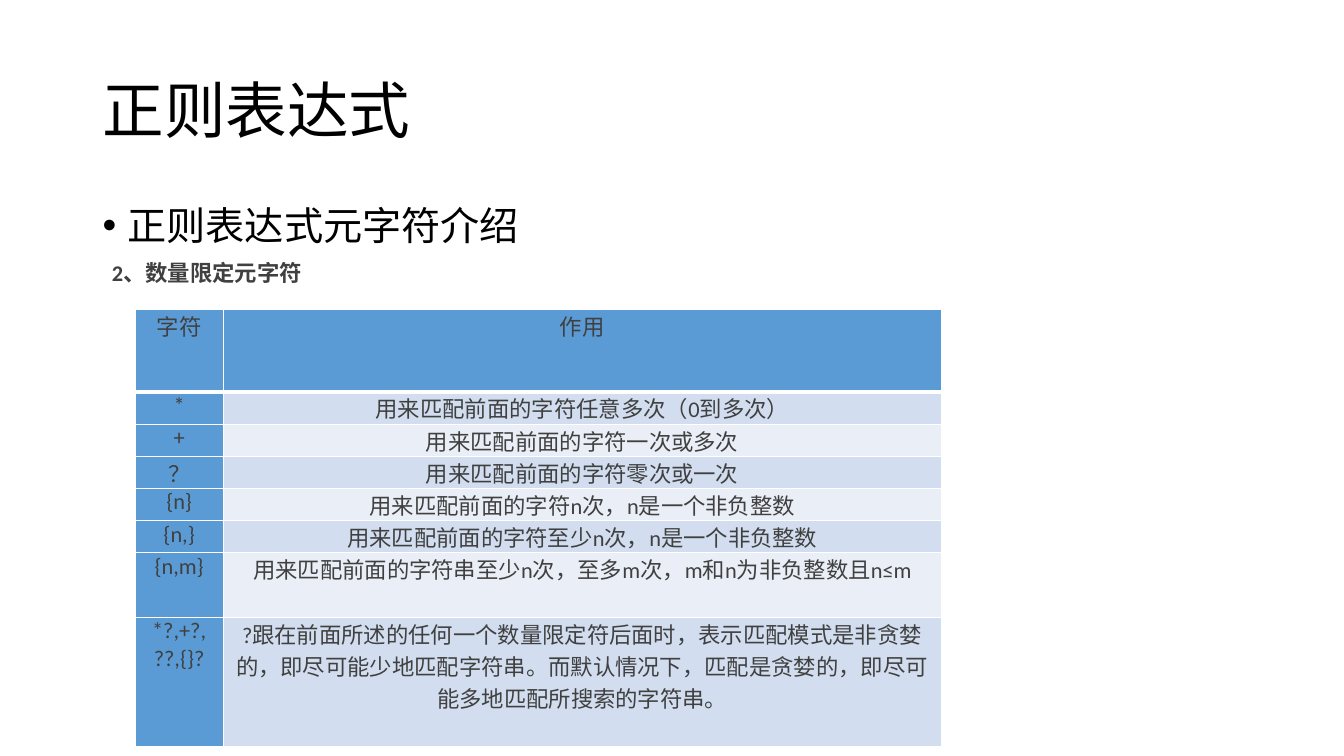
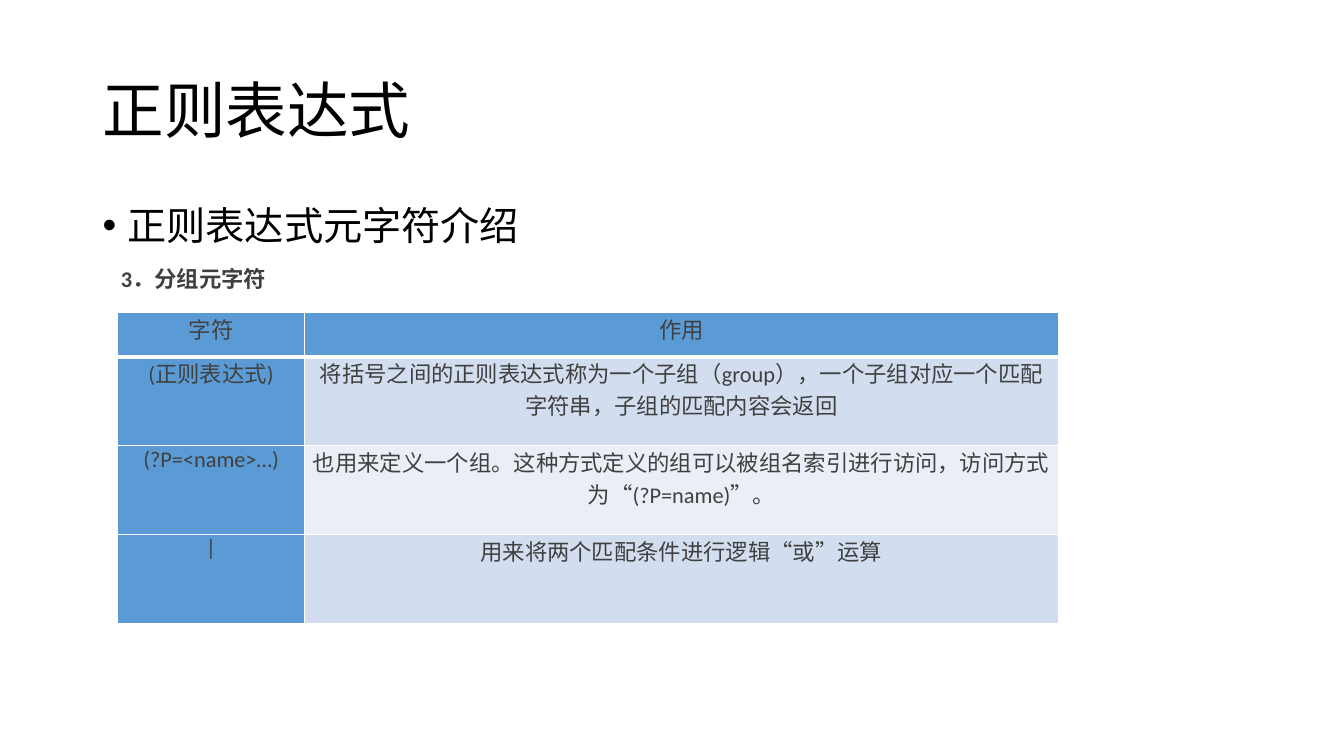
from dataclasses import dataclass
from lxml.etree import SubElement
from pptx import Presentation
from pptx.dml.color import RGBColor
from pptx.enum.text import MSO_ANCHOR, MSO_AUTO_SIZE, PP_ALIGN
from pptx.oxml.ns import qn
from pptx.util import Cm, Pt


@dataclass(frozen=True)
class Theme:
    font: str = "Calibri"
    black: str = "000000"
    gray: str = "404040"
    blue: str = "5B9BD5"
    white: str = "FFFFFF"
    bands: tuple = ("D2DEEF", "EAEFF7")
    title: int = 44
    body: int = 28
    small: int = 16
    thin: int = 1
    thick: int = 3


THEME = Theme()
TITLE = "正则表达式"
TOPIC = "正则表达式元字符介绍"
HEAD = ("字符", "作用")

PAGES = [
    dict(
        label="2、数量限定元字符",
        spot=(2.57, 6.07, 22, 1.27),
        grid=(3.4, 7.8),
        cols=(2.23, 18.09),
        rows=(2.08, 0.81, 0.81, 0.81, 0.81, 0.81, 1.63, 3.25),
        data=[
            ("*", "用来匹配前面的字符任意多次（0到多次）"),
            ("+", "用来匹配前面的字符一次或多次"),
            ("？", "用来匹配前面的字符零次或一次"),
            ("{n}", "用来匹配前面的字符n次，n是一个非负整数"),
            ("{n,}", "用来匹配前面的字符至少n次，n是一个非负整数"),
            ("{n,m}", "用来匹配前面的字符串至少n次，至多m次，m和n为非负整数且n≤m"),
            ("*?,+?,\n??,{}?",
             "?跟在前面所述的任何一个数量限定符后面时，表示匹配模式是非贪婪的，"
             "即尽可能少地匹配字符串。而默认情况下，匹配是贪婪的，"
             "即尽可能多地匹配所搜索的字符串。"),
        ],
    ),
    dict(
        label="3．分组元字符",
        spot=(2.8, 6.22, 22, 1.27),
        grid=(2.96, 7.87),
        cols=(4.72, 18.99),
        rows=(1.12, 2.24, 2.24, 2.24),
        data=[
            ("(正则表达式)",
             "将括号之间的正则表达式称为一个子组（group），"
             "一个子组对应一个匹配字符串，子组的匹配内容会返回"),
            ("(?P=<name>…)",
             "也用来定义一个组。这种方式定义的组可以被组名索引进行访问，"
             "访问方式为“(?P=name)”。"),
            ("|", "用来将两个匹配条件进行逻辑“或”运算"),
        ],
    ),
]


def place(shape, box):
    shape.left, shape.top, shape.width, shape.height = map(Cm, box)


def write(para, text, size, color, bold=False):
    run = para.add_run()
    run.text = text
    font = run.font
    font.name, font.size, font.bold = THEME.font, Pt(size), bold
    font.color.rgb = RGBColor.from_string(color)


def fit_layout(layout):
    title, body = layout.placeholders[0], layout.placeholders[1]
    place(title, (2.33, 1.01, 29.21, 3.68))
    place(body, (2.33, 5.07, 29.21, 12.09))


def add_title(slide):
    frame = slide.shapes.title.text_frame
    frame.vertical_anchor = MSO_ANCHOR.MIDDLE
    frame.auto_size = MSO_AUTO_SIZE.NONE
    para = frame.paragraphs[0]
    para.alignment, para.line_spacing = PP_ALIGN.LEFT, 0.9
    write(para, TITLE, THEME.title, THEME.black)


def add_topic(slide):
    frame = slide.placeholders[1].text_frame
    frame.auto_size = MSO_AUTO_SIZE.NONE
    para = frame.paragraphs[0]
    para.line_spacing, para.space_before = 0.9, Pt(0)
    props = para._p.get_or_add_pPr()
    props.set("marL", str(Cm(0.63)))
    props.set("indent", str(-Cm(0.63)))
    SubElement(props, qn("a:buFont"), typeface="Arial")
    SubElement(props, qn("a:buChar"), char="•")
    write(para, TOPIC, THEME.body, THEME.black)


def add_label(slide, text, box):
    frame = slide.shapes.add_textbox(*map(Cm, box)).text_frame
    frame.word_wrap = True
    para = frame.paragraphs[0]
    para.line_spacing = 1.5
    write(para, text, THEME.small, THEME.gray, True)


def add_edge(props, side, width):
    line = SubElement(props, qn(f"a:ln{side}"), w=str(Pt(width)))
    fill = SubElement(line, qn("a:solidFill"))
    SubElement(fill, qn("a:srgbClr"), val=THEME.white)


def fill_cell(cell, text, color, edges):
    cell.margin_left = cell.margin_right = Cm(0.19)
    cell.margin_top = cell.margin_bottom = 0
    props = cell._tc.get_or_add_tcPr()
    for side, width in edges.items():
        add_edge(props, side, width)
    cell.fill.solid()
    cell.fill.fore_color.rgb = RGBColor.from_string(color)
    frame = cell.text_frame
    for i, part in enumerate(text.split("\n")):
        para = frame.add_paragraph() if i else frame.paragraphs[0]
        para.alignment = PP_ALIGN.CENTER
        write(para, part, THEME.small, THEME.gray)


def add_grid(slide, spot, cols, rows, data):
    box = (*spot, sum(cols), sum(rows))
    table = slide.shapes.add_table(len(rows), len(cols), *map(Cm, box)).table
    table.first_row = table.horz_banding = False
    for col, width in zip(table.columns, cols):
        col.width = Cm(width)
    for row, height in zip(table.rows, rows):
        row.height = Cm(height)
    for r, texts in enumerate([HEAD, *data]):
        edges = dict.fromkeys("LRTB", THEME.thin)
        if r < 2:
            edges["T" if r else "B"] = THEME.thick
        for c, text in enumerate(texts):
            plain = r > 0 and c > 0
            color = THEME.bands[(r - 1) % 2] if plain else THEME.blue
            fill_cell(table.cell(r, c), text, color, edges)


def add_page(deck, layout, page):
    slide = deck.slides.add_slide(layout)
    add_title(slide)
    add_topic(slide)
    add_label(slide, page["label"], page["spot"])
    add_grid(slide, page["grid"], page["cols"], page["rows"], page["data"])


def main():
    deck = Presentation()
    deck.slide_width, deck.slide_height = Cm(33.87), Cm(19.05)
    layout = deck.slide_layouts[1]
    fit_layout(layout)
    for page in PAGES:
        add_page(deck, layout, page)
    deck.save("out.pptx")


if __name__ == "__main__":
    main()
